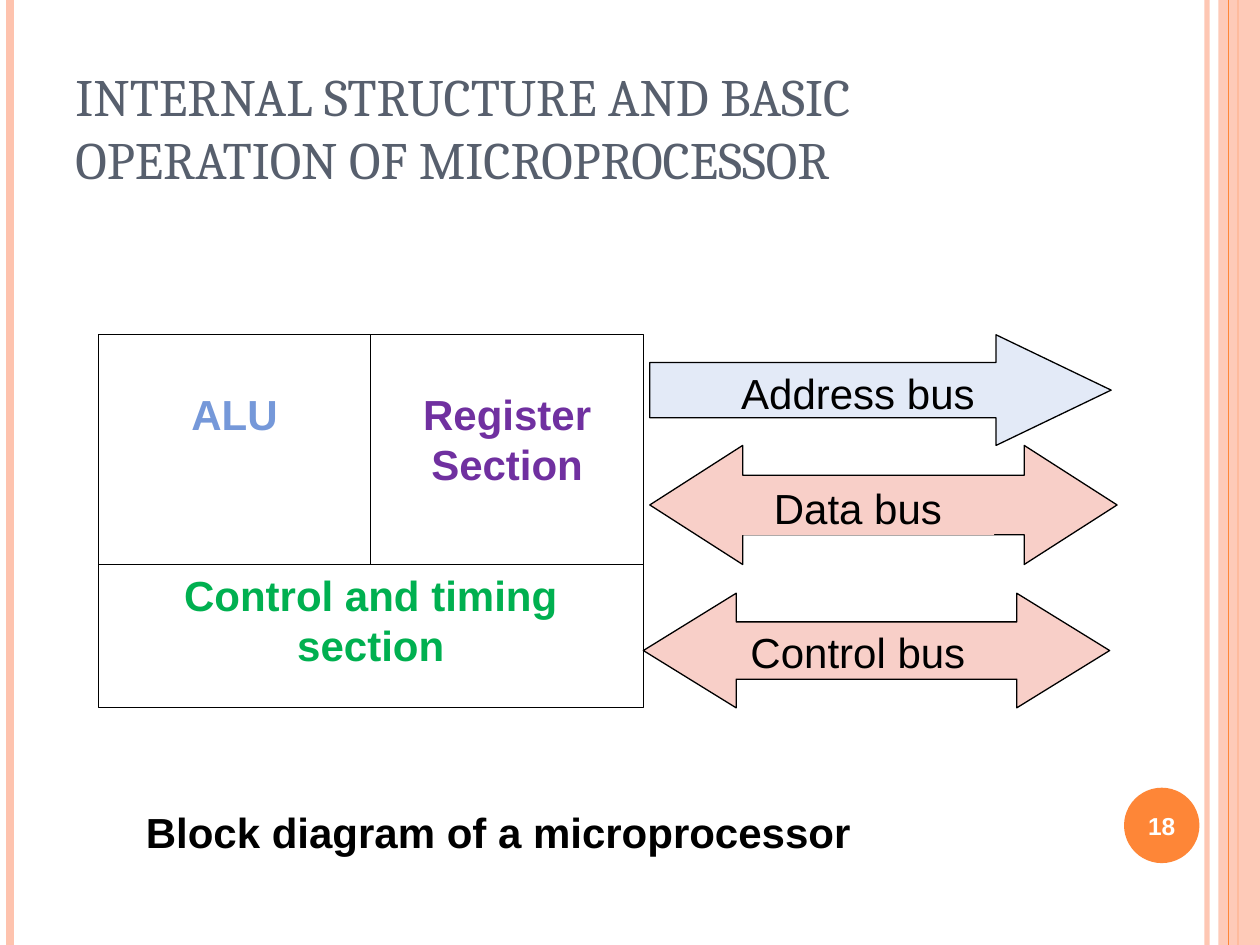
from lxml.etree import SubElement
from pptx import Presentation
from pptx.dml.color import RGBColor
from pptx.enum.shapes import MSO_CONNECTOR, MSO_SHAPE
from pptx.enum.text import MSO_ANCHOR, MSO_AUTO_SIZE, PP_ALIGN
from pptx.oxml.ns import qn
from pptx.util import Cm, Pt

WHITE = RGBColor(0xFF, 0xFF, 0xFF)
BLACK = RGBColor(0x00, 0x00, 0x00)
PEACH = RGBColor(0xFE, 0xC3, 0xAE)
ORANGE = RGBColor(0xFE, 0x86, 0x37)
SLATE = RGBColor(0x57, 0x5F, 0x6D)
BLUE = RGBColor(0x75, 0x98, 0xD9)
PURPLE = RGBColor(0x70, 0x30, 0xA0)
GREEN = RGBColor(0x00, 0xB0, 0x50)
PALE_BLUE = RGBColor(0xE3, 0xEA, 0xF7)
PALE_RED = RGBColor(0xF8, 0xCF, 0xC8)

SLIDE_WIDTH, SLIDE_HEIGHT = 25.4, 19.05


def set_opacity(shape, percent):
    """Make the colours of a shape partly transparent."""
    for colour in shape.element.spPr.iter(qn("a:srgbClr")):
        SubElement(colour, qn("a:alpha"), val=str(percent * 1000))


def add_block(slide, preset, box, fill, outline=None):
    """Add a flat preset shape, outlined if a colour is given."""
    block = slide.shapes.add_shape(preset, *map(Cm, box))
    block.shadow.inherit = False
    block.fill.solid()
    block.fill.fore_color.rgb = fill
    if outline is None:
        block.line.fill.background()
    else:
        block.line.color.rgb = outline
        block.line.width = Pt(0.75)
    return block


def write(shape, text, colour, size=24, bold=False, align=PP_ALIGN.CENTER,
          anchor=MSO_ANCHOR.TOP, inset=(0.23, 0.1), font="Arial"):
    """Put one formatted paragraph into a shape."""
    frame = shape.text_frame
    frame.word_wrap = True
    frame.auto_size = MSO_AUTO_SIZE.NONE
    frame.vertical_anchor = anchor
    frame.margin_left = frame.margin_right = Cm(inset[0])
    frame.margin_top, frame.margin_bottom = Cm(inset[1]), Cm(0.1)
    frame.text = text
    paragraph = frame.paragraphs[0]
    paragraph.alignment = align
    for run in paragraph.runs:
        run.font.name = font
        run.font.size = Pt(size)
        run.font.bold = bold
        run.font.color.rgb = colour


def add_rail(slide, x, colour, width):
    """Draw a vertical line over the full slide height."""
    rail = slide.shapes.add_connector(
        MSO_CONNECTOR.STRAIGHT, Cm(x), Cm(0), Cm(x), Cm(SLIDE_HEIGHT))
    rail.line.color.rgb = colour
    rail.line.width = Pt(width)
    SubElement(rail.element.spPr, qn("a:effectLst"))
    return rail


def add_side_rails(slide, width, height):
    """Decorate the left and right slide edges."""
    set_opacity(add_rail(slide, width - 1.07, PEACH, 3), 93)
    add_rail(slide, 0.21, PEACH, 4.5)
    add_rail(slide, width - 0.44, ORANGE, 1.5)
    band = add_block(slide, MSO_SHAPE.RECTANGLE,
                     (width - 0.84, 0, 0.84, height), PEACH)
    set_opacity(band, 87)
    add_rail(slide, width - 0.63, ORANGE, 0.75)


def add_title(slide, left, top, width, height):
    """Move and format the title placeholder."""
    title = slide.shapes.title
    title.left, title.top = Cm(left), Cm(top)
    title.width, title.height = Cm(width), Cm(height)
    write(title, "INTERNAL STRUCTURE AND BASIC OPERATION OF MICROPROCESSOR",
          SLATE, size=30, align=PP_ALIGN.LEFT, anchor=MSO_ANCHOR.BOTTOM,
          inset=(0.25, 0.13), font="Cambria")


def add_processor(slide, left, top, width, height):
    """Draw the processor as two units above a control section."""
    unit_width, unit_height = width / 2, height * 0.615
    sections = (
        ("ALU", BLUE, 0, 0, unit_width, unit_height, 1.08),
        ("Register Section", PURPLE, unit_width, 0,
         unit_width, unit_height, 1.08),
        ("Control and timing section", GREEN, 0, unit_height,
         width, height - unit_height, 0.1),
    )
    for name, colour, x, y, section_width, section_height, inset in sections:
        section = add_block(
            slide, MSO_SHAPE.RECTANGLE,
            (left + x, top + y, section_width, section_height), WHITE, BLACK)
        write(section, name, colour, bold=True, inset=(0.23, inset))


def add_buses(slide, left, top):
    """Draw the three bus arrows, then their labels in one column."""
    one_way, two_way = MSO_SHAPE.RIGHT_ARROW, MSO_SHAPE.LEFT_RIGHT_ARROW
    buses = (
        ("Address bus", one_way, PALE_BLUE, 0.13, 0, 9.3, 2.23, 1.04, 0.56),
        ("Data bus", two_way, PALE_RED, 0.13, 2.23, 9.42, 2.4, 0.78, 2.88),
        ("Control bus", two_way, PALE_RED, 0, 5.21, 9.4, 2.31, 0.81, 5.78),
    )
    for name, preset, fill, x, y, width, height, head, label_y in buses:
        arrow = add_block(slide, preset, (left + x, top + y, width, height),
                          fill, BLACK)
        arrow.adjustments[0] = 0.5
        arrow.adjustments[1] = head
    for name, preset, fill, x, y, width, height, head, label_y in buses:
        label = slide.shapes.add_textbox(
            Cm(left + 1.58), Cm(top + label_y), Cm(5.49), Cm(1.16))
        if name == "Data bus":
            label.fill.solid()
            label.fill.fore_color.rgb = fill
        write(label, name, BLACK)


def add_page_number(slide, left, top, size):
    """Draw the round page number badge."""
    badge = add_block(slide, MSO_SHAPE.OVAL, (left, top, size, size), ORANGE)
    write(badge, "18", WHITE, size=14, bold=True,
          anchor=MSO_ANCHOR.MIDDLE, inset=(0, 0.1))


def add_caption(slide, left, top, width, height):
    """Write the caption below the diagram."""
    caption = slide.shapes.add_textbox(*map(Cm, (left, top, width, height)))
    write(caption, "Block diagram of a microprocessor", BLACK, bold=True,
          align=PP_ALIGN.LEFT, inset=(0.25, 0.13))


def main():
    """Build and save the slide."""
    deck = Presentation()
    deck.slide_width, deck.slide_height = Cm(SLIDE_WIDTH), Cm(SLIDE_HEIGHT)
    slide = deck.slides.add_slide(deck.slide_layouts[5])
    add_side_rails(slide, SLIDE_WIDTH, SLIDE_HEIGHT)
    add_title(slide, 1.27, 0.76, 20.75, 3.18)
    add_processor(slide, 1.98, 6.75, 10.99, 7.52)
    add_buses(slide, 12.97, 6.75)
    add_page_number(slide, 22.66, 15.88, 1.52)
    add_caption(slide, 2.69, 16.13, 16.79, 1.27)
    deck.save("out.pptx")


if __name__ == "__main__":
    main()
